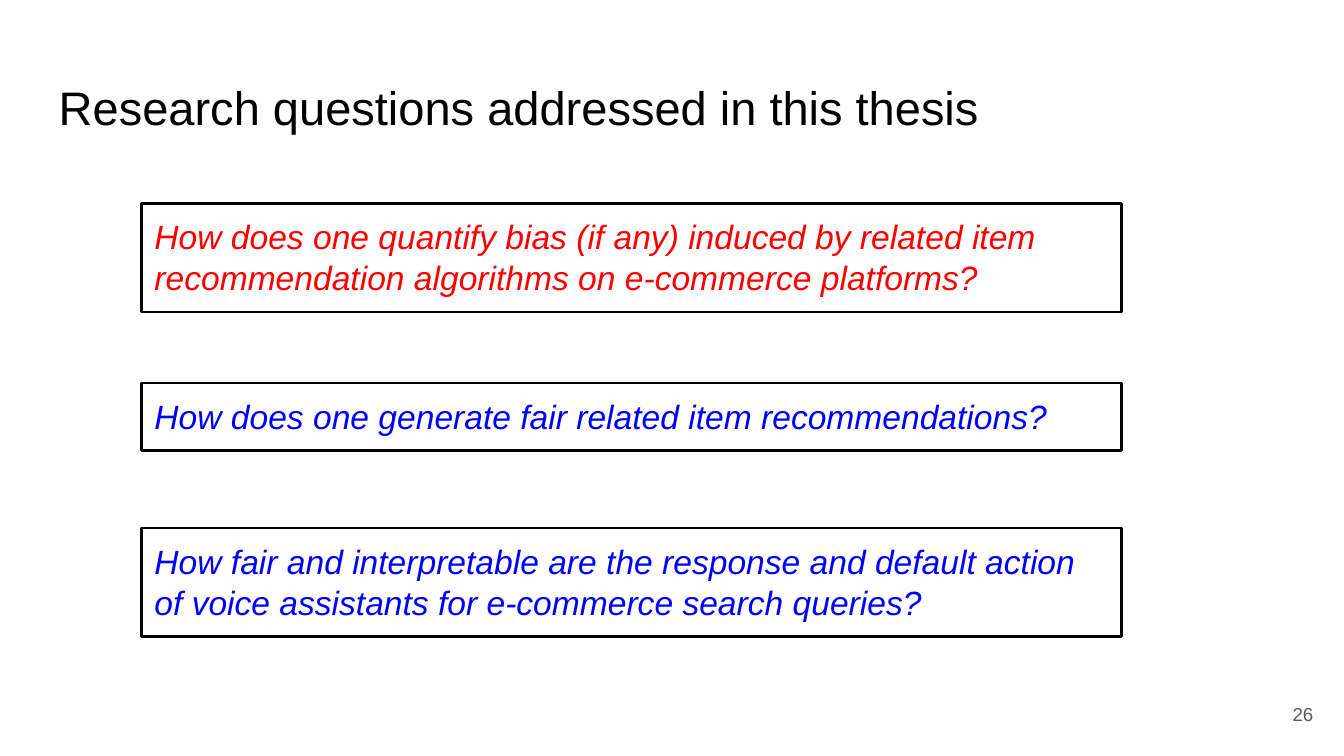
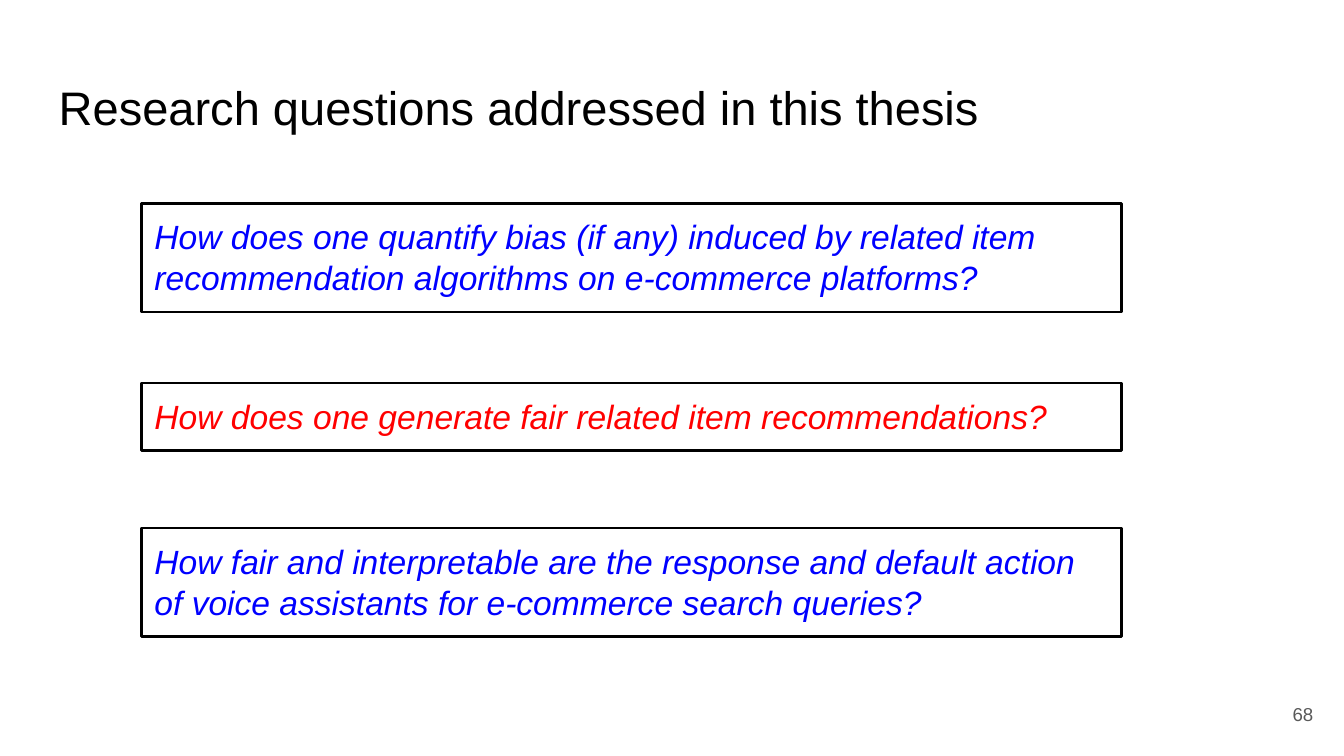
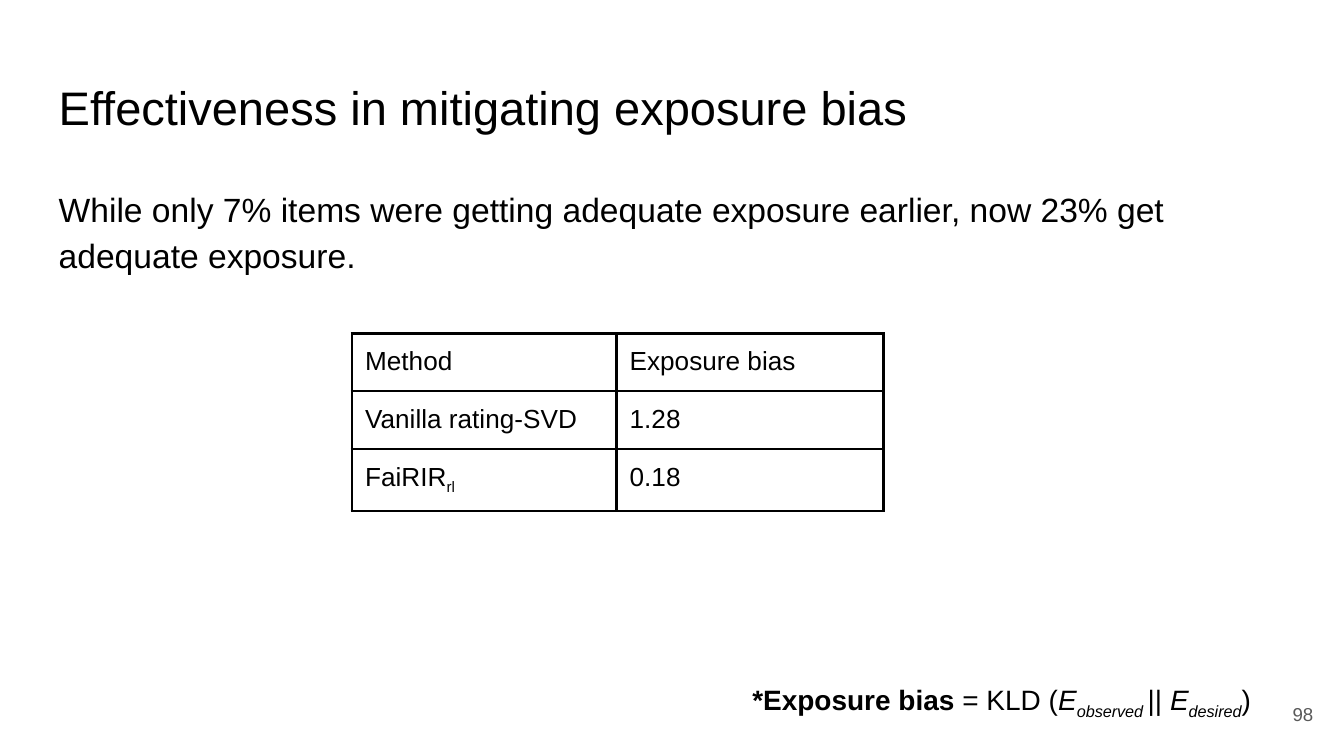
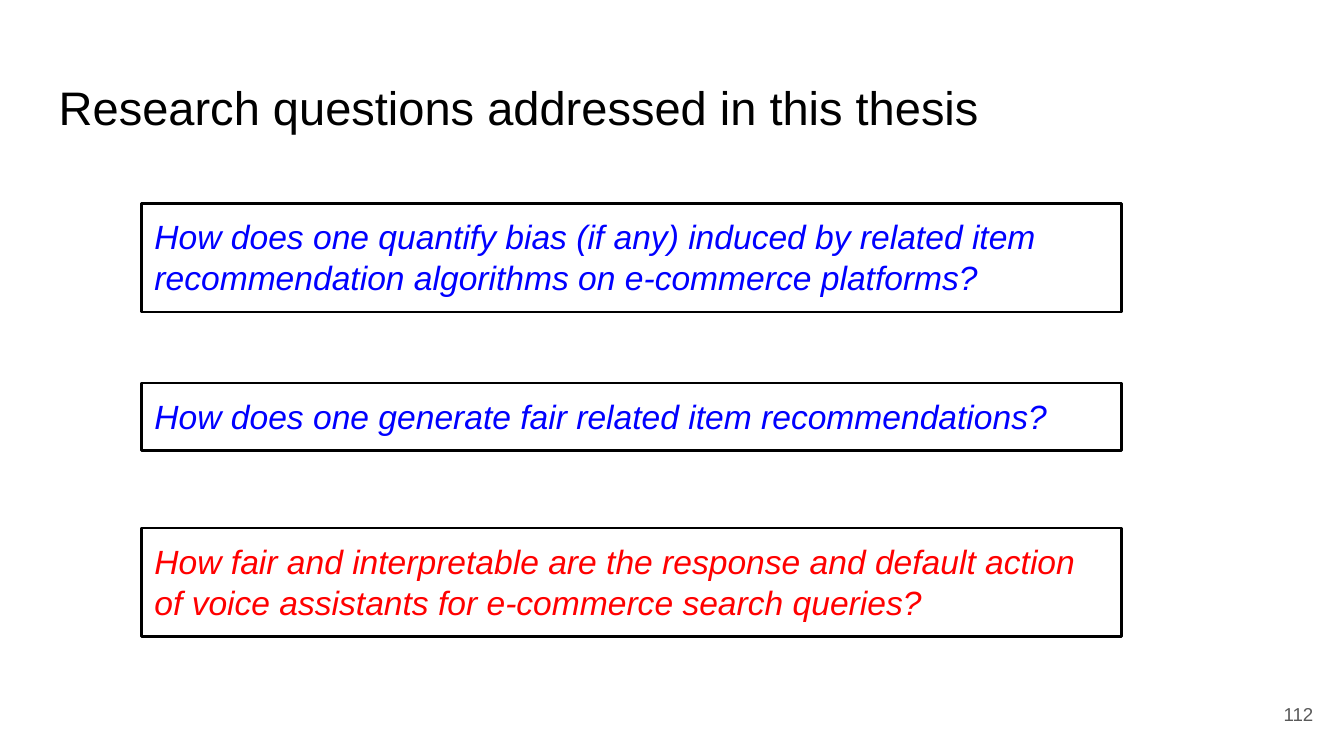
from dataclasses import dataclass

from lxml import etree
from pptx import Presentation
from pptx.dml.color import RGBColor
from pptx.enum.shapes import MSO_SHAPE
from pptx.enum.text import MSO_ANCHOR, MSO_AUTO_SIZE, PP_ALIGN
from pptx.oxml import parse_xml
from pptx.util import Cm, Pt

RECT = MSO_SHAPE.RECTANGLE
TOP, MIDDLE = MSO_ANCHOR.TOP, MSO_ANCHOR.MIDDLE
LEFT, RIGHT = PP_ALIGN.LEFT, PP_ALIGN.RIGHT
GROW = MSO_AUTO_SIZE.SHAPE_TO_FIT_TEXT
SPACE = "http://schemas.openxmlformats.org/drawingml/2006/main"


@dataclass(frozen=True)
class Theme:
    font: str = "Arial"
    ink: str = "000000"
    grey: str = "595959"
    hot: str = "FF0000"
    cool: str = "0000FF"
    title: float = 25.2
    body: float = 18
    note: float = 15
    cell: float = 14
    page: float = 10
    line: float = 1.5
    pad: float = 0.25
    loose: float = 1.15


theme = Theme()

ASK = "Research questions addressed in this thesis"
EFFECT = "Effectiveness in mitigating exposure bias"
PAGES = [(26, ASK, 0), (68, ASK, 1), (98, EFFECT, None), (112, ASK, 2)]

# Top, height and wording of each question box
QUESTIONS = [
    (3.84, 2.06, "How does one quantify bias (if any) induced by related item "
                 "recommendation algorithms on e-commerce platforms?"),
    (7.24, 1.27, "How does one generate fair related item recommendations?"),
    (9.98, 2.06, "How fair and interpretable are the response and default action "
                 "of voice assistants for e-commerce search queries?"),
]
CLAIM = ("While only 7% items were getting adequate exposure earlier, "
         "now 23% get adequate exposure.")
ROWS = [
    ("Method", "Exposure bias"),
    ("Vanilla rating-SVD", "1.28"),
    ([("FaiRIR", ""), ("rl", "s")], "0.18"),
]
COLS = [5, 5.05]
ROW = 1.09
FORMULA = [
    ("*Exposure bias", "b"), (" = KLD (", ""), ("E", "i"), ("observed ", "is"),
    ("|| ", ""), ("E", "i"), ("desired", "is"), (")", ""),
]


def write(frame, text, size=theme.body, color=theme.ink, style="",
          align=LEFT, gap=None):
    """Fill a frame; text is a string or (text, style) runs: b bold, i italic, s subscript."""
    para = frame.paragraphs[0]
    para.alignment = align
    if gap:
        para.line_spacing = gap
    for part, marks in [(text, style)] if isinstance(text, str) else text:
        run = para.add_run()
        run.text = part
        font = run.font
        font.name, font.size = theme.font, Pt(size)
        font.color.rgb = RGBColor.from_string(color)
        font.bold, font.italic = "b" in marks, "i" in marks
        if "s" in marks:
            run._r.get_or_add_rPr().set("baseline", "-25000")


def place(slide, text, left, top, width, height, frame=False, grow=False,
          anchor=TOP, **form):
    """Add text at a place in cm, inside an outlined rectangle if frame is set."""
    spot = Cm(left), Cm(top), Cm(width), Cm(height)
    if frame:
        box = slide.shapes.add_shape(RECT, *spot)
        box.shadow.inherit = False
        box.fill.background()
        box.line.color.rgb = RGBColor.from_string(theme.ink)
        box.line.width = Pt(theme.line)
    else:
        box = slide.shapes.add_textbox(*spot)
    body = box.text_frame
    body.word_wrap = True
    body.vertical_anchor = anchor
    if grow:
        body.auto_size = GROW
    body.margin_left = body.margin_right = Cm(theme.pad)
    body.margin_top = body.margin_bottom = Cm(theme.pad)
    write(body, text, **form)


deck = Presentation()
deck.slide_width, deck.slide_height = Cm(25.4), Cm(14.29)

for page, title, focus in PAGES:
    slide = deck.slides.add_slide(deck.slide_layouts[6])
    place(slide, title, 0.86, 1.24, 23.67, 1.6, size=theme.title)

    if focus is not None:
        for rank, (top, height, quest) in enumerate(QUESTIONS):
            place(slide, quest, 2.67, top, 18.52, height, frame=True, grow=True,
                  style="i", color=theme.hot if rank == focus else theme.cool)
    else:
        place(slide, CLAIM, 0.86, 3.2, 23.67, 9.5, gap=theme.loose)

        table = slide.shapes.add_table(
            len(ROWS), len(COLS), Cm(6.65), Cm(6.3),
            Cm(sum(COLS)), Cm(ROW * len(ROWS))).table
        table.first_row = table.horz_banding = False
        for col, width in zip(table.columns, COLS):
            col.width = Cm(width)
        for row, texts in zip(table.rows, ROWS):
            row.height = Cm(ROW)
            for cell, text in zip(row.cells, texts):
                cell.margin_left = cell.margin_right = Cm(theme.pad)
                cell.margin_top = cell.margin_bottom = Cm(theme.pad)
                props = cell._tc.get_or_add_tcPr()
                for side in "LRTB":
                    edge = parse_xml(f'<a:ln{side} xmlns:a="{SPACE}"/>')
                    edge.set("w", str(Pt(theme.line)))
                    fill = etree.SubElement(edge, f"{{{SPACE}}}solidFill")
                    etree.SubElement(fill, f"{{{SPACE}}}srgbClr", val=theme.ink)
                    props.append(edge)
                cell.fill.background()
                write(cell.text_frame, text, size=theme.cell)

        place(slide, FORMULA, 13.97, 12.55, 11.28, 1.14, grow=True,
              size=theme.note, gap=theme.loose)

    place(slide, str(page), 23.55, 12.95, 1.52, 1.09, anchor=MIDDLE,
          size=theme.page, color=theme.grey, align=RIGHT)

deck.save("out.pptx")
